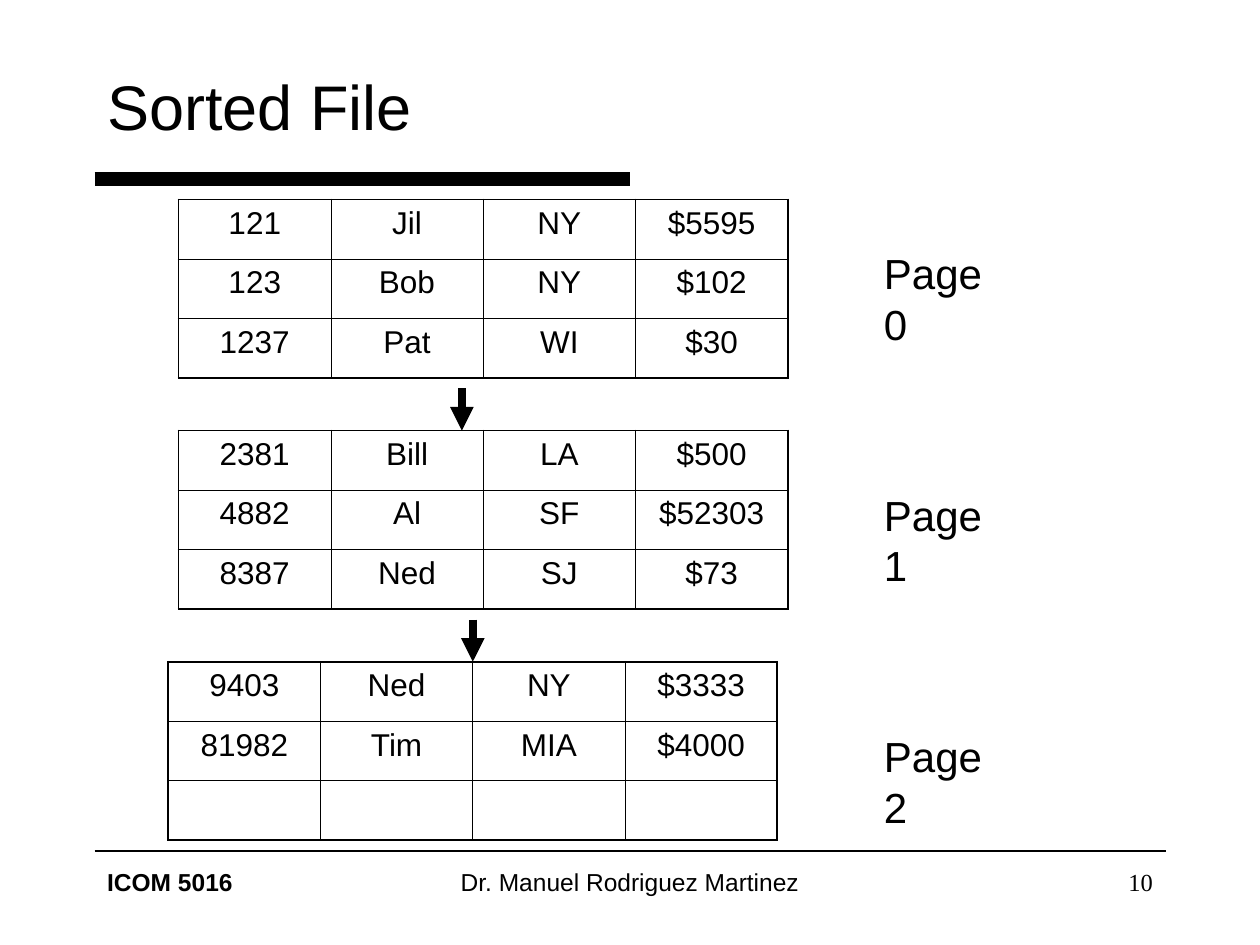
from dataclasses import dataclass

import pptx
import pptx.dml.color
import pptx.enum.shapes
import pptx.enum.text
import pptx.oxml
import pptx.oxml.ns
import pptx.util
from pptx.util import Cm, Pt

BLACK = "000000"
LEFT, CENTER, RIGHT = (getattr(pptx.enum.text.PP_ALIGN, a) for a in ("LEFT", "CENTER", "RIGHT"))
MARGIN, RIGHT_EDGE = 1.91, 23.5
COL_W, ROW_H = 3.07, 1.2
TABLE_TOP, TABLE_STEP = 4.02, 4.66
LABEL_LEFT, LABEL_STEP = 17.57, 4.87
ARROW_LEN = 0.85
OUTER, INNER = 1.08, 0.45


@dataclass
class Page:
    label: str
    left: float
    rows: list[tuple[str, ...]]


@dataclass
class Footer:
    text: str
    left: float
    width: float
    align: pptx.enum.text.PP_ALIGN
    font: str = "Arial"
    bold: bool = False


@dataclass
class Line:
    x1: float
    y1: float
    x2: float
    y2: float
    weight: float
    arrow: bool = False


def color(value: str) -> pptx.dml.color.RGBColor:
    return pptx.dml.color.RGBColor.from_string(value)


def add_run(p, text: str, size: float, font: str = "Arial", bold: bool = False) -> None:
    r = p.add_run()
    r.text = text
    r.font.size = Pt(size)
    r.font.name = font
    r.font.bold = bold
    r.font.color.rgb = color(BLACK)


def add_text(s, left: float, top: float, width: float, text: str, size: float,
             align=LEFT, font: str = "Arial", bold: bool = False, wrap: bool = True) -> None:
    tf = s.shapes.add_textbox(Cm(left), Cm(top), Cm(width), Cm(1.27)).text_frame
    tf.word_wrap = wrap
    if not wrap:
        tf.auto_size = pptx.enum.text.MSO_AUTO_SIZE.SHAPE_TO_FIT_TEXT
    p = tf.paragraphs[0]
    p.alignment = align
    add_run(p, text, size, font, bold)


def add_line(s, line: Line) -> None:
    sp = s.shapes.add_connector(pptx.enum.shapes.MSO_CONNECTOR.STRAIGHT,
                                Cm(line.x1), Cm(line.y1), Cm(line.x2), Cm(line.y2))
    sp.line.width = Pt(line.weight)
    sp.line.color.rgb = color(BLACK)
    if line.arrow:
        tail = pptx.oxml.parse_xml(
            f'<a:tailEnd {pptx.oxml.ns.nsdecls("a")} type="triangle"/>')
        sp.line._get_or_add_ln().append(tail)
    sp._element.spPr.append(
        pptx.oxml.parse_xml(f'<a:effectLst {pptx.oxml.ns.nsdecls("a")}/>'))


def set_borders(cell, widths: dict[str, float]) -> None:
    tc_pr = cell._tc.get_or_add_tcPr()
    for i, (side, weight) in enumerate(widths.items()):
        tc_pr.insert(i, pptx.oxml.parse_xml(
            f'<a:ln{side} {pptx.oxml.ns.nsdecls("a")} w="{int(Pt(weight))}">'
            f'<a:solidFill><a:srgbClr val="{BLACK}"/></a:solidFill></a:ln{side}>'))


def add_page_table(s, page: Page, top: float) -> None:
    n_rows, n_cols = len(page.rows), len(page.rows[0])
    table = s.shapes.add_table(n_rows, n_cols, Cm(page.left), Cm(top),
                               Cm(COL_W * n_cols), Cm(ROW_H * n_rows)).table
    table.first_row = table.horz_banding = False
    for i, row in enumerate(page.rows):
        for j, text in enumerate(row):
            cell = table.cell(i, j)
            cell.fill.background()
            set_borders(cell, {
                "L": OUTER if j == 0 else INNER,
                "R": OUTER if j == n_cols - 1 else INNER,
                "T": OUTER if i == 0 else INNER,
                "B": OUTER if i == n_rows - 1 else INNER,
            })
            if text:
                p = cell.text_frame.paragraphs[0]
                p.alignment = CENTER
                p.space_before = Pt(4.5)
                add_run(p, text, 18)


PAGES = [
    Page("Page 0", 3.6, [("121", "Jil", "NY", "$5595"),
                         ("123", "Bob", "NY", "$102"),
                         ("1237", "Pat", "WI", "$30")]),
    Page("Page 1", 3.6, [("2381", "Bill", "LA", "$500"),
                         ("4882", "Al", "SF", "$52303"),
                         ("8387", "Ned", "SJ", "$73")]),
    Page("Page 2", 3.39, [("9403", "Ned", "NY", "$3333"),
                          ("81982", "Tim", "MIA", "$4000"),
                          ("", "", "", "")]),
]
ARROW_XS = [9.31, 9.53]
FOOTERS = [
    Footer("ICOM 5016", MARGIN, 5.29, LEFT, bold=True),
    Footer("Dr. Manuel Rodriguez Martinez", 8.68, 8.04, CENTER),
    Footer("10", 18.2, 5.29, RIGHT, font="Times New Roman"),
]


def main() -> None:
    prs = pptx.Presentation()
    prs.slide_width, prs.slide_height = Cm(25.4), Cm(19.05)
    s = prs.slides.add_slide(prs.slide_layouts[5])

    # Title
    title = s.shapes.title
    title.left, title.top, title.width, title.height = Cm(MARGIN), Cm(0.85), Cm(21.59), Cm(2.54)
    title.text_frame.vertical_anchor = pptx.enum.text.MSO_ANCHOR.MIDDLE
    p = title.text_frame.paragraphs[0]
    p.alignment = LEFT
    add_run(p, "Sorted File", 36)

    # Rules and footer
    add_line(s, Line(MARGIN, 3.6, 12.7, 3.6, 8))
    add_line(s, Line(MARGIN, 17.15, RIGHT_EDGE, 17.15, 1))
    for f in FOOTERS:
        add_text(s, f.left, 17.36, f.width, f.text, 14, f.align, f.font, f.bold)

    # Pages of the file with their labels
    for i, page in enumerate(PAGES):
        add_page_table(s, page, TABLE_TOP + i * TABLE_STEP)
        add_text(s, LABEL_LEFT, (i + 1) * LABEL_STEP, 3.18, page.label, 24, wrap=False)

    # Arrows ending on the top of the next page
    for i, x in enumerate(ARROW_XS, start=1):
        end = TABLE_TOP + i * TABLE_STEP
        add_line(s, Line(x, end - ARROW_LEN, x, end, 4.5, arrow=True))

    prs.save("out.pptx")


if __name__ == "__main__":
    main()
